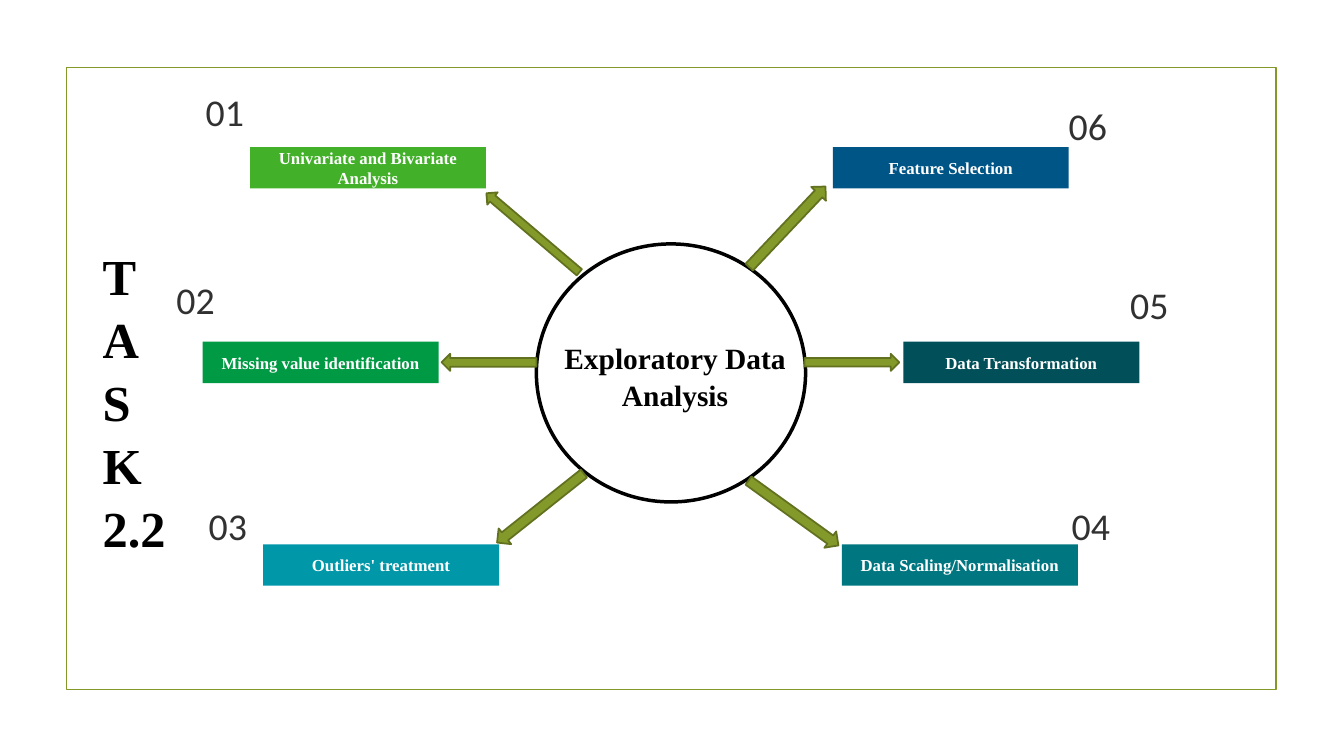
import pptx
import pptx.util
from pptx.dml.color import RGBColor
from pptx.enum.shapes import MSO_SHAPE
from pptx.enum.text import MSO_ANCHOR, PP_ALIGN
from pptx.util import Inches

COLORS = {
    "olive": "83992A", "olive_dark": "61711F", "black": "000000",
    "white": "FFFFFF", "number": "313131",
    "green": "43B02A", "emerald": "009A44", "cyan": "0097A9",
    "teal": "007680", "petrol": "004F59", "blue": "005587",
}
SERIF = "Times New Roman"
STEP_WIDTH, STEP_HEIGHT = 2.34, 0.41

# label, fill, step left and top, number left and top
STEPS = [
    ("Univariate and Bivariate Analysis", "green", 2.48, 1.46, 2.04, 0.88),
    ("Missing value identification", "emerald", 2.01, 3.39, 1.75, 2.75),
    ("Outliers' treatment", "cyan", 2.61, 5.4, 2.07, 4.99),
    ("Data Scaling/Normalisation", "teal", 8.35, 5.4, 10.63, 4.99),
    ("Data Transformation", "petrol", 8.96, 3.39, 11.21, 2.79),
    ("Feature Selection", "blue", 8.26, 1.46, 10.6, 1.02),
]

# left, top, width, height, rotation, preset
ARROWS = [
    (7.98, 3.51, 0.94, 0.17, 0, MSO_SHAPE.RIGHT_ARROW),
    (7.26, 2.15, 1.1, 0.2, 313.4, MSO_SHAPE.RIGHT_ARROW),
    (4.68, 2.23, 1.21, 0.16, 40.4, MSO_SHAPE.LEFT_ARROW),
    (4.38, 3.51, 0.94, 0.17, 180, MSO_SHAPE.RIGHT_ARROW),
    (7.32, 4.99, 1.1, 0.2, 35.8, MSO_SHAPE.RIGHT_ARROW),
    (4.81, 4.94, 1.1, 0.2, 141.5, MSO_SHAPE.RIGHT_ARROW),
]


def color(name):
    return RGBColor.from_string(COLORS[name])


def write(shape, lines, size, ink, font=SERIF, bold=True, align=PP_ALIGN.LEFT,
          anchor=MSO_ANCHOR.TOP, inset=None, spacing=None):
    """Fill a shape with one paragraph per line of text."""
    frame = shape.text_frame
    frame.word_wrap = True
    frame.vertical_anchor = anchor
    if inset is not None:
        frame.margin_left = frame.margin_right = Inches(inset)
        frame.margin_top = frame.margin_bottom = Inches(inset)
    for index, line in enumerate(lines):
        para = frame.add_paragraph() if index else frame.paragraphs[0]
        para.alignment = align
        if spacing:
            para.line_spacing = spacing
        span = para.add_run()
        span.text = line
        span.font.name = font
        span.font.size = pptx.util.Pt(size)
        span.font.bold = bold
        span.font.color.rgb = color(ink)


def add_text(page, box, lines, size, ink, **style):
    write(page.shapes.add_textbox(*map(Inches, box)), lines, size, ink, **style)


def add_outline(page, box, preset, fill=None, line=None, width=1.25):
    shape = page.shapes.add_shape(preset, *map(Inches, box))
    shape.shadow.inherit = False
    if fill:
        shape.fill.solid()
        shape.fill.fore_color.rgb = color(fill)
    else:
        shape.fill.background()
    if line:
        shape.line.color.rgb = color(line)
        shape.line.width = pptx.util.Pt(width)
    else:
        shape.line.fill.background()
    return shape


def add_hub(page, box):
    left, top, width, height = box
    add_outline(page, box, MSO_SHAPE.OVAL, line="black", width=2.5)
    add_text(page, (left - 0.28, top + 0.89, width + 0.64, 1.04),
             ["Exploratory Data Analysis"], 21, "black",
             align=PP_ALIGN.CENTER, spacing=1.04)


def add_arrows(page):
    for *box, rotation, preset in ARROWS:
        arrow = add_outline(page, box, preset, "olive", "olive_dark")
        arrow.rotation = rotation


def add_steps(page):
    """Place the six numbered steps around the hub."""
    for number, step in enumerate(STEPS, start=1):
        label, fill, left, top, number_left, number_top = step
        add_text(page, (number_left, number_top, 0.87, 0.56), [f"{number:02}"],
                 27, "number", font="Calibri", bold=False, inset=0)
        bar = add_outline(page, (left, top, STEP_WIDTH, STEP_HEIGHT),
                          MSO_SHAPE.RECTANGLE, fill)
        write(bar, [label], 12, "white", align=PP_ALIGN.CENTER,
              anchor=MSO_ANCHOR.MIDDLE, inset=0.07)


def main():
    deck = pptx.Presentation()
    deck.slide_width, deck.slide_height = Inches(13.33), Inches(7.5)
    page = deck.slides.add_slide(deck.slide_layouts[6])
    add_outline(page, (0.66, 0.67, 12, 6.17), MSO_SHAPE.RECTANGLE, line="olive")
    add_hub(page, (5.32, 2.42, 2.67, 2.56))
    add_arrows(page)
    add_text(page, (0.92, 2.36, 1.03, 3.13), ["T", "A", "S", "K", "2.2"],
             36, "black", spacing=1.04)
    add_steps(page)
    deck.save("out.pptx")


if __name__ == "__main__":
    main()
